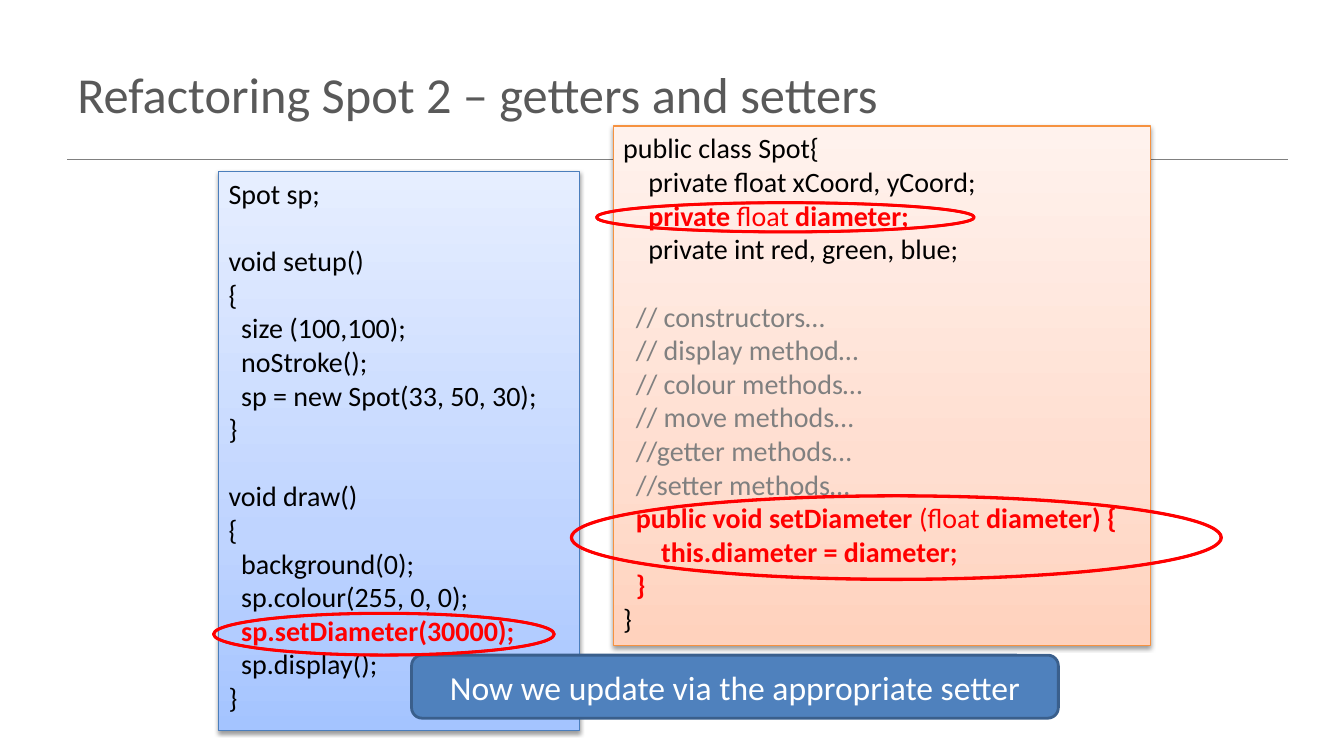
from copy import deepcopy

from lxml import etree
from pptx import Presentation
from pptx.dml.color import RGBColor
from pptx.enum.shapes import MSO_CONNECTOR, MSO_SHAPE
from pptx.enum.text import MSO_ANCHOR, PP_ALIGN
from pptx.oxml.ns import qn
from pptx.util import Pt

RECTANGLE, ROUNDED = MSO_SHAPE.RECTANGLE, MSO_SHAPE.ROUNDED_RECTANGLE
DONUT = MSO_SHAPE.DONUT
STRAIGHT = MSO_CONNECTOR.STRAIGHT
TOP, MIDDLE = MSO_ANCHOR.TOP, MSO_ANCHOR.MIDDLE
LEFT, CENTER = PP_ALIGN.LEFT, PP_ALIGN.CENTER

FONT = "Calibri"
CODE_SIZE = 20
BLACK = RGBColor(0x00, 0x00, 0x00)
WHITE = RGBColor(0xFF, 0xFF, 0xFF)
RED = RGBColor(0xFF, 0x00, 0x00)
GREY = RGBColor(0x80, 0x80, 0x80)
TITLE_GREY = RGBColor(0x59, 0x59, 0x59)
BUTTON_FILL = RGBColor(0x4F, 0x81, 0xBD)
BUTTON_LINE = RGBColor(0x3A, 0x5F, 0x8C)
BLUE_LINE = RGBColor(0x4B, 0x7E, 0xBC)
BLUE_STOPS = (RGBColor(0xA4, 0xC4, 0xFF), RGBColor(0xBF, 0xD4, 0xFF), RGBColor(0xE6, 0xEE, 0xFF))
ORANGE_LINE = RGBColor(0xF6, 0x92, 0x40)
ORANGE_STOPS = (RGBColor(0xFF, 0xD2, 0xBD), RGBColor(0xFF, 0xDE, 0xD0), RGBColor(0xFF, 0xF2, 0xED))
STOP_POSITIONS = (0, 0.35, 1)

# Run styles: colour, bold
PLAIN = (BLACK, False)
COMMENT = (GREY, False)
CHANGED = (RED, True)
CHANGED_TYPE = (RED, False)

# Each code line is a list of (text, style) runs
SKETCH_CODE = [
    [("Spot sp;", PLAIN)],
    [],
    [("void setup()", PLAIN)],
    [("{", PLAIN)],
    [("  size (100,100);", PLAIN)],
    [("  noStroke();", PLAIN)],
    [("  sp = new Spot(33, 50, 30);", PLAIN)],
    [("}", PLAIN)],
    [],
    [("void draw()", PLAIN)],
    [("{", PLAIN)],
    [("  background(0);", PLAIN)],
    [("  sp.colour(255, 0, 0);", PLAIN)],
    [("  sp.setDiameter(30000);", CHANGED)],
    [("  sp.display();", PLAIN)],
    [("}", PLAIN)],
]
CLASS_CODE = [
    [("public class Spot{", PLAIN)],
    [("    private float xCoord, yCoord;", PLAIN)],
    [("    private ", CHANGED), ("float", CHANGED_TYPE), (" diameter;", CHANGED)],
    [("    private int red, green, blue;", PLAIN)],
    [],
    [("  // constructors…", COMMENT)],
    [("  // display method…", COMMENT)],
    [("  // colour methods…", COMMENT)],
    [("  // move methods…", COMMENT)],
    [("  //getter methods…", COMMENT)],
    [("  //setter methods…", COMMENT)],
    [("  public void setDiameter", CHANGED), (" (float", CHANGED_TYPE), (" diameter) {", CHANGED)],
    [("      this.diameter = diameter;", CHANGED)],
    [("  }", CHANGED)],
    [("}", PLAIN)],
]

# Boxes: left, top, width, height in points
TITLE_BOX = (48, 21.6, 864, 90)
SKETCH_BOX = (156.2, 122.4, 258, 399.6)
CLASS_BOX = (438, 90, 384, 370.8)
MESSAGE_BOX = (294, 468, 462, 45)
RING_BOXES = [
    (152.5, 438, 243.5, 30),
    (408, 354, 464.5, 60),
    (426, 144.7, 270, 21),
]


def format_run(run, size, color, bold=False):
    font = run.font
    font.name, font.size, font.bold = FONT, Pt(size), bold
    font.color.rgb = color


def add_box(slide, kind, box, line_color, line_width):
    shape = slide.shapes.add_shape(kind, *map(Pt, box))
    shape.shadow.inherit = False
    shape.line.color.rgb = line_color
    shape.line.width = Pt(line_width)
    return shape


def add_title(slide, box, text):
    """Fill the title placeholder and draw the rule beneath it."""
    title = slide.shapes.title
    left, top, width, height = box
    title.left, title.top, title.width, title.height = map(Pt, box)
    title.text_frame.text = text
    title.text_frame.vertical_anchor = MIDDLE
    paragraph = title.text_frame.paragraphs[0]
    paragraph.alignment = LEFT
    format_run(paragraph.runs[0], 36, TITLE_GREY)

    rule_y = Pt(top + height + 2.4)
    rule = slide.shapes.add_connector(STRAIGHT, Pt(left), rule_y, Pt(left + width + 8), rule_y)
    rule.line.color.rgb = GREY
    rule.line.width = Pt(1)
    etree.SubElement(rule._element.spPr, qn("a:effectLst"))


def set_gradient(shape, colors):
    """Fill upwards from the first colour to the last."""
    shape.fill.gradient()
    shape.fill.gradient_angle = 90
    stop_list = shape._element.spPr.find(".//" + qn("a:gsLst"))
    stop_list.append(deepcopy(stop_list[-1]))
    for stop, position, color in zip(shape.fill.gradient_stops, STOP_POSITIONS, colors):
        stop.position = position
        stop.color.rgb = color


def add_soft_shadow(shape):
    effects = shape._element.spPr.find(qn("a:effectLst"))
    shadow = etree.SubElement(effects, qn("a:outerShdw"), blurRad=str(Pt(3.1)),
                              dist=str(Pt(1.6)), dir="5400000", rotWithShape="0")
    color = etree.SubElement(shadow, qn("a:srgbClr"), val=str(BLACK))
    etree.SubElement(color, qn("a:alpha"), val="38000")


def add_code_panel(slide, box, lines, stops, line_color):
    panel = add_box(slide, RECTANGLE, box, line_color, 0.75)
    set_gradient(panel, stops)
    add_soft_shadow(panel)
    frame = panel.text_frame
    frame.word_wrap = True
    frame.vertical_anchor = TOP
    frame.text = "\n" * (len(lines) - 1)
    for paragraph, runs in zip(frame.paragraphs, lines):
        paragraph.alignment = LEFT
        for text, (color, bold) in runs:
            run = paragraph.add_run()
            run.text = text
            format_run(run, CODE_SIZE, color, bold)
        if not runs:
            etree.SubElement(paragraph._p, qn("a:endParaRPr"), sz=str(CODE_SIZE * 100))


def add_message(slide, box, text):
    message = add_box(slide, ROUNDED, box, BUTTON_LINE, 2)
    message.fill.solid()
    message.fill.fore_color.rgb = BUTTON_FILL
    frame = message.text_frame
    frame.word_wrap = True
    frame.vertical_anchor = MIDDLE
    frame.text = text
    frame.paragraphs[0].alignment = CENTER
    format_run(frame.paragraphs[0].runs[0], 24, WHITE)


def add_ring(slide, box):
    ring = add_box(slide, DONUT, box, RED, 2)
    ring.adjustments[0] = 0.006
    ring.fill.solid()
    ring.fill.fore_color.rgb = RED


def main():
    presentation = Presentation()
    presentation.slide_width, presentation.slide_height = Pt(960), Pt(540)
    slide = presentation.slides.add_slide(presentation.slide_layouts[5])
    add_title(slide, TITLE_BOX, "Refactoring Spot 2 – getters and setters")
    add_code_panel(slide, SKETCH_BOX, SKETCH_CODE, BLUE_STOPS, BLUE_LINE)
    add_code_panel(slide, CLASS_BOX, CLASS_CODE, ORANGE_STOPS, ORANGE_LINE)
    add_message(slide, MESSAGE_BOX, "Now we update via the appropriate setter")
    for box in RING_BOXES:
        add_ring(slide, box)
    presentation.save("out.pptx")


if __name__ == "__main__":
    main()
